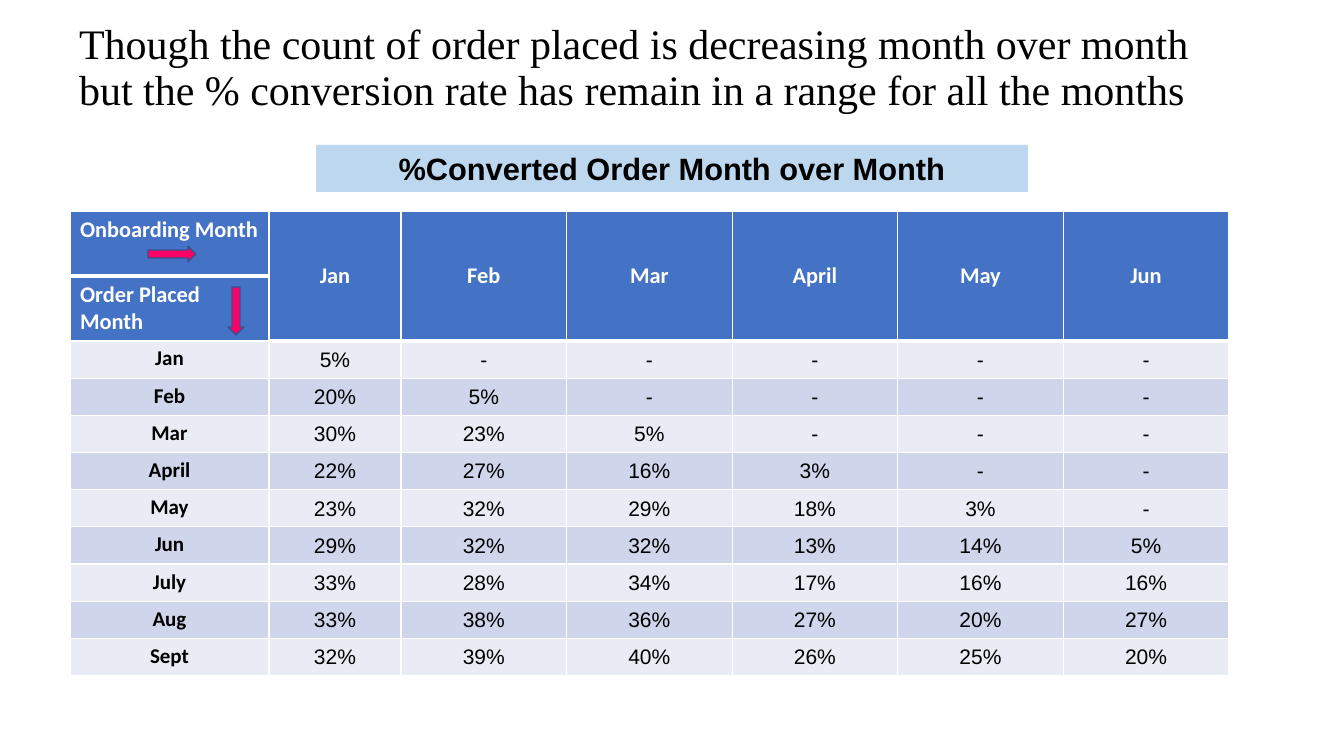
from lxml.etree import SubElement
from pptx import Presentation
from pptx.dml.color import RGBColor
from pptx.enum.shapes import MSO_SHAPE
from pptx.enum.text import MSO_ANCHOR, MSO_AUTO_SIZE, PP_ALIGN
from pptx.oxml.ns import qn
from pptx.util import Emu, Pt

# Content
HEADLINE = ("Though the count of order placed is decreasing month over month "
            "but the % conversion rate has remain in a range for all the months")
BANNER = "%Converted Order Month over Month"
AXES = ("Onboarding Month", "Order Placed Month")
ONBOARDING_MONTHS = ["Jan", "Feb", "Mar", "April", "May", "Jun"]
CONVERSION = {  # order month: rate per onboarding month so far
    "Jan": [5],
    "Feb": [20, 5],
    "Mar": [30, 23, 5],
    "April": [22, 27, 16, 3],
    "May": [23, 32, 29, 18, 3],
    "Jun": [29, 32, 32, 13, 14, 5],
    "July": [33, 28, 34, 17, 16, 16],
    "Aug": [33, 38, 36, 27, 20, 27],
    "Sept": [32, 39, 40, 26, 25, 20],
}
COLORS = {
    "black": "000000", "white": "FFFFFF", "header": "4472C4",
    "light_band": "E9EBF5", "dark_band": "CFD5EA",
    "arrow": "FF0066", "arrow_line": "325491", "banner": "BDD7EE",
}

# Layout in px
SLIDE_SIZE = (1344, 756)
TITLE_BOX = (69, 26, 1159, 86)
BANNER_BOX = (316, 145, 712, 47)
TABLE_BOX = (70, 211, 1159, 465)
LABEL_WIDTH, JAN_WIDTH, HEADER_HEIGHT = 199, 132, 65
ARROWS = [((148, 246, 48, 16), 0), ((212, 303, 48, 16), 90)]


def px(length):
    return Emu(round(length * 914400 / 100.8))


def rgb(name):
    return RGBColor.from_string(COLORS[name])


def write(frame, text, *, size, font, color="black", bold=False,
          align=PP_ALIGN.CENTER, spacing=None):
    frame.word_wrap = True
    paragraph = frame.paragraphs[0]
    paragraph.alignment = align
    paragraph.line_spacing = spacing
    run = paragraph.add_run()
    run.text = text
    run.font.size, run.font.name, run.font.bold = Pt(size), font, bold
    run.font.color.rgb = rgb(color)


def add_block(preset, box, fill):
    block = slide.shapes.add_shape(preset, *map(px, box))
    block.shadow.inherit = False
    block.fill.solid()
    block.fill.fore_color.rgb = rgb(fill)
    block.line.fill.background()
    return block


def style_cell(cell, fill, borders):
    """Set white borders, {side: points}, and then the fill."""
    properties = cell._tc.get_or_add_tcPr()
    for side, points in borders.items():
        line = SubElement(properties, qn(f"a:ln{side}"), w=str(Pt(points)))
        paint = SubElement(line, qn("a:solidFill"))
        SubElement(paint, qn("a:srgbClr"), val=COLORS["white"])
    cell.fill.solid()
    cell.fill.fore_color.rgb = rgb(fill)


deck = Presentation()
deck.slide_width, deck.slide_height = map(px, SLIDE_SIZE)
slide = deck.slides.add_slide(deck.slide_layouts[5])

# Title
title = slide.shapes.title
title.left, title.top, title.width, title.height = map(px, TITLE_BOX)
title.text_frame.auto_size = MSO_AUTO_SIZE.NONE
title.text_frame.vertical_anchor = MSO_ANCHOR.MIDDLE
write(title.text_frame, HEADLINE, size=30, font="Times New Roman",
      align=PP_ALIGN.LEFT, spacing=0.9)

# Conversion table
row_count, column_count = len(CONVERSION) + 2, len(ONBOARDING_MONTHS) + 1
table = slide.shapes.add_table(row_count, column_count, *map(px, TABLE_BOX)).table
month_width = (TABLE_BOX[2] - LABEL_WIDTH - JAN_WIDTH) / (column_count - 2)
for c, column in enumerate(table.columns):
    column.width = px((LABEL_WIDTH, JAN_WIDTH)[c] if c < 2 else month_width)
body_height = (TABLE_BOX[3] - 2 * HEADER_HEIGHT) / len(CONVERSION)
for r, row in enumerate(table.rows):
    row.height = px(HEADER_HEIGHT if r < 2 else body_height)
    fill = "header" if r < 2 else ("light_band", "dark_band")[r % 2]
    for c, cell in enumerate(row.cells):
        thick = r == 0 or (r == 1 and c > 0)
        borders = {"L": 1, "R": 1}
        if r == 0:
            borders["T"] = 1
        borders["B"] = 3 if thick else 1
        style_cell(cell, fill, borders)

# Table headings
heading = dict(size=16, font="Calibri", color="white", bold=True)
for r, axis in enumerate(AXES):
    write(table.cell(r, 0).text_frame, axis, align=PP_ALIGN.LEFT, **heading)
for c, month in enumerate(ONBOARDING_MONTHS, 1):
    cell = table.cell(0, c)
    cell.merge(table.cell(1, c))
    cell.vertical_anchor = MSO_ANCHOR.MIDDLE
    write(cell.text_frame, month, **heading)

# Table values
for r, (month, rates) in enumerate(CONVERSION.items(), 2):
    write(table.cell(r, 0).text_frame, month, size=15, font="Calibri", bold=True)
    for c in range(1, column_count):
        cell = table.cell(r, c)
        cell.vertical_anchor = MSO_ANCHOR.MIDDLE
        cell.margin_left = cell.margin_right = cell.margin_top = px(1)
        cell.margin_bottom = 0
        rate = f"{rates[c - 1]}%" if c <= len(rates) else "-"
        write(cell.text_frame, rate, size=15, font="Arial")

# Axis arrows
for box, rotation in ARROWS:
    arrow = add_block(MSO_SHAPE.RIGHT_ARROW, box, "arrow")
    arrow.rotation = rotation
    arrow.line.color.rgb = rgb("arrow_line")
    arrow.line.width = Pt(1)

# Banner
banner = add_block(MSO_SHAPE.RECTANGLE, BANNER_BOX, "banner")
write(banner.text_frame, BANNER, size=22, font="Arial", bold=True)

deck.save("out.pptx")
